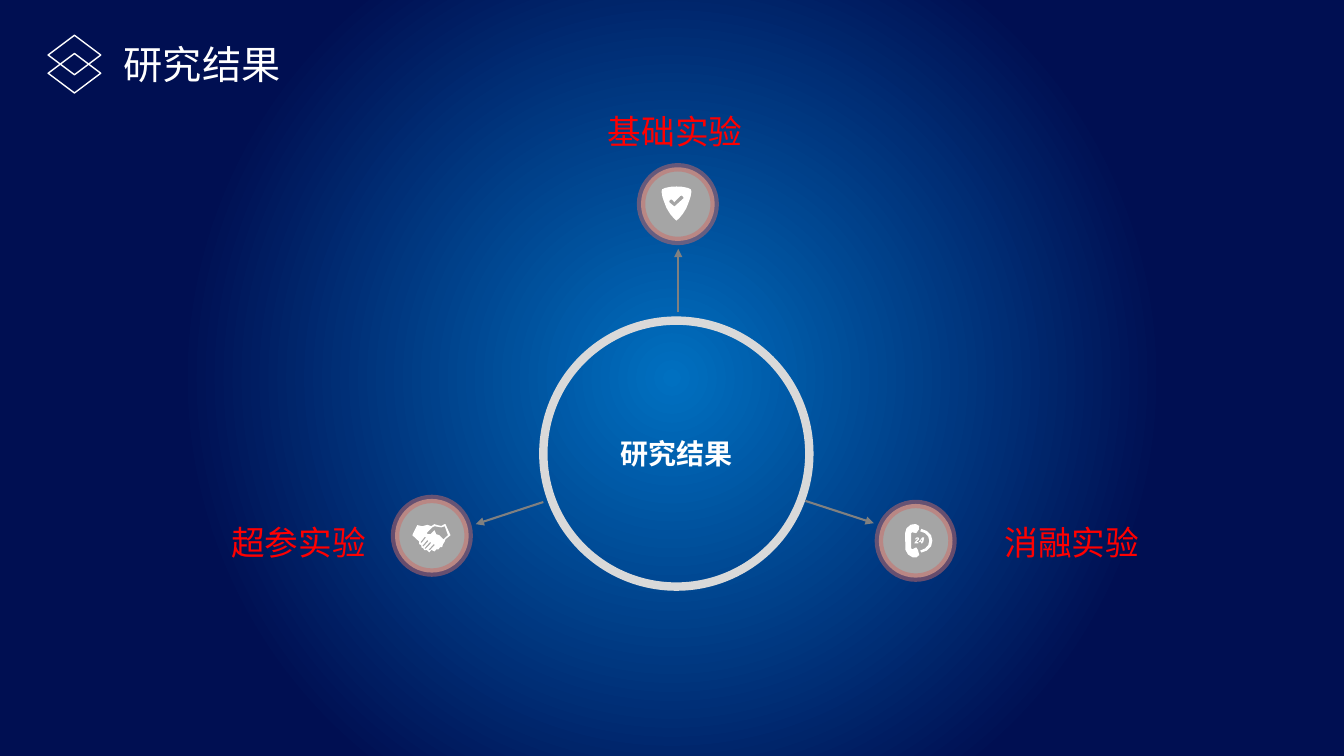
from lxml import etree
from pptx import Presentation
from pptx.dml.color import RGBColor
from pptx.enum import shapes, text
from pptx.oxml.ns import qn
from pptx.util import Pt

# Content
TITLE = "研究结果"
HUB = "研究结果"

# Icon contours, in points from the centre of the badge; inner contours are holes
SHIELD = [
    [(-11.2, -10.6), (-9, -11.6), (-5, -12.4), (-1, -12.6), (3, -12.4), (7, -11.6),
     (9.2, -10.6), (9.7, -9), (9, -5), (7.6, -1), (6, 3), (3.5, 7), (1, 10), (-1, 11.8),
     (-3, 10), (-5.5, 7), (-8, 3), (-9.6, -1), (-11, -5), (-11.7, -9)],
    [(4, -4.1), (-1.8, 1.1), (-2.5, 1.6), (-3.2, 1.1), (-6.1, -1.3), (-6.1, -2.4),
     (-5.2, -3.3), (-4.2, -3.2), (-2.5, -1.4), (1.8, -5.9), (2.8, -6.1), (4, -5)],
]
HANDSHAKE = [
    [(9.7, -8.3), (9, -8.3), (6.8, -7), (4, -7.6), (1.8, -8.3), (-0.4, -6.9), (-3.2, -7.8),
     (-6.8, -6.8), (-10.4, -7.6), (-14, -0.4), (-11.9, 1.5), (-9.2, 4), (-9, 6),
     (-7.6, 6.8), (-7.4, 8.3), (-6.1, 9), (-5.4, 10.2), (-3.5, 10.2), (-1.8, 11.9),
     (-0.4, 10), (1.8, 11.2), (3.2, 9.7), (4.7, 9.7), (5.8, 8.2), (7.4, 8), (7.9, 6.1),
     (9, 4.5), (9.7, 2.5), (13.3, -0.4)],
    [(11.5, -0.4), (9, 1.8), (8.3, 2.5), (5.4, -0.4), (3.2, -1.1), (1.8, -4), (-1.1, -1.1),
     (-3.2, -1.1), (-3.4, -2.3), (0.4, -6.1), (1.8, -6.8), (3.2, -6.6), (6.8, -6),
     (9.2, -6.8)],
    [(-8.2, 4.6), (-5, 0.7), (-4.2, 1.2), (-7.4, 5.2)],
    [(-6.8, 7.2), (-3.2, 3), (-2.5, 3.8), (-6.1, 7.8)],
    [(-5.2, 8.8), (-1.2, 4.3), (-0.5, 5.2), (-4.6, 9.4)],
    [(-2.4, 10), (1.4, 5.8), (2.1, 6.6), (-1.4, 10.3)],
]
PHONE = [
    [(-7.6, -5.4), (-6.5, -9), (-3.5, -11.5), (0, -12), (2.5, -10.6), (2.2, -8),
     (0.4, -5.4), (-2.5, -6.1), (-3.2, -5.4), (-3.2, 5.4), (-2.5, 6.1), (0.4, 4.7),
     (1.6, 6.5), (2.6, 10.2), (0.4, 11.9), (-2, 11.9), (-5.5, 9.8), (-7.3, 6.5)],
    [(4, -8.5), (8, -7), (11, -4), (11.9, 0), (11, 4), (8, 7), (4, 8.4), (3.2, 7),
     (6.8, 5.4), (9, 3), (9.7, 0), (9, -3), (6.8, -5.4), (3.2, -6.8)],
    [(-1, 1.8), (1.9, 1.8), (1.9, 1), (0.4, 1), (1.9, -0.5), (2.5, -1.2), (2.2, -2.2),
     (1, -2.5), (0, -2), (-0.4, -1), (0.4, -1), (1, -1.8), (1.6, -1.2), (0, 0.3)],
    [(5.5, 0.4), (6.1, -2.5), (4.7, -2.5), (2.5, 0.4), (2.5, 1), (4, 1), (3.9, 1.8),
     (4.8, 1.8), (5, 1), (5.6, 1)],
    [(3.3, 0.4), (4.6, -1.6), (4.3, 0.4)],
]

# label, label box, line spacing, badge centre, icon, arrow start, arrow end
EXPERIMENTS = [
    ("基础实验", (373.5, 64.8, 217.5, 39.6), 1.5, (484.2, 145.8), SHIELD,
     (484.5, 223.2), (484.5, 177.8)),
    ("消融实验", (638, 367.2, 255, 33), 1.2, (654.1, 386.3), PHONE,
     (575.3, 357.8), (624.2, 373.7)),
    ("超参实验", (104.4, 358.6, 217.5, 39.6), 1.5, (308.5, 382.7), HANDSHAKE,
     (388.1, 358.6), (339.8, 374.4)),
]

THEME = {
    "glow": "0070C0", "navy": "000F52", "white": "FFFFFF", "label": "FF0000",
    "ring": "D9D9D9", "arrow": "808080", "badge": "A5A5A5", "badge_rim": "CD6A65",
    "title_size": 28, "label_size": 24, "hub_size": 20,
    "title_font": "Noto Sans CJK SC", "label_font": "Noto Sans CJK JP", "hub_font": "Calibri",
}
RING_BOX = (388.1, 229, 190, 190)
BADGE_SIZE = 52.6
DIAMOND_LEFT, DIAMOND_TOPS, DIAMOND_SIZE = 34.4, (25.2, 38.2), (37.6, 28.2)


def color(key):
    return RGBColor.from_string(THEME[key])


def add_xml(parent, tag, **attributes):
    return etree.SubElement(parent, qn(tag), attributes)


def write(frame, words, role, ink, align=text.PP_ALIGN.LEFT, bold=False, spacing=None):
    paragraph = frame.paragraphs[0]
    paragraph.text = words
    paragraph.alignment = align
    paragraph.line_spacing = spacing
    font = paragraph.font
    font.size, font.bold = Pt(THEME[role + "_size"]), bold
    font.color.rgb = color(ink)
    font.name = THEME[role + "_font"]
    properties = paragraph._p.pPr.find(qn("a:defRPr"))
    add_xml(properties, "a:ea", typeface=THEME[role + "_font"])


def add_text(slide, box, words, role, ink, margin=None, **style):
    frame = slide.shapes.add_textbox(*map(Pt, box)).text_frame
    frame.word_wrap = True
    if margin is not None:
        frame.margin_left = frame.margin_right = Pt(margin)
        frame.margin_top = frame.margin_bottom = Pt(margin)
    write(frame, words, role, ink, **style)


def add_outline(slide, kind, box, line, width, fill=None):
    shape = slide.shapes.add_shape(kind, *map(Pt, box))
    shape.shadow.inherit = False
    if fill:
        shape.fill.solid()
        shape.fill.fore_color.rgb = color(fill)
    else:
        shape.fill.background()
    shape.line.color.rgb = color(line)
    shape.line.width = Pt(width)
    return shape


def add_badge(slide, centre, contours):
    x, y = centre
    box = (x - BADGE_SIZE / 2, y - BADGE_SIZE / 2, BADGE_SIZE, BADGE_SIZE)
    badge = add_outline(slide, shapes.MSO_SHAPE.OVAL, box, "badge_rim", 6, "badge")
    rim = badge.line._ln.find(".//" + qn("a:srgbClr"))
    add_xml(rim, "a:alpha", val="50000")

    points = [[(Pt(x + dx), Pt(y + dy)) for dx, dy in contour] for contour in contours]
    builder = slide.shapes.build_freeform(*points[0][0])
    builder.add_line_segments(points[0][1:])
    for contour in points[1:]:
        builder.move_to(*contour[0])
        builder.add_line_segments(contour[1:])
    icon = builder.convert_to_shape()
    icon.shadow.inherit = False
    icon.fill.solid()
    icon.fill.fore_color.rgb = color("white")
    icon.line.fill.background()


def add_arrow(slide, start, end):
    arrow = slide.shapes.add_connector(
        shapes.MSO_CONNECTOR.STRAIGHT, *map(Pt, start + end))
    arrow.line.color.rgb = color("arrow")
    arrow.line.width = Pt(1.5)
    add_xml(arrow.line._ln, "a:tailEnd", type="triangle")
    add_xml(arrow._element.spPr, "a:effectLst")


def paint_background(slide):
    slide.background.fill.solid()
    solid = slide._element.find(".//" + qn("p:bgPr")).find(qn("a:solidFill"))
    gradient = etree.Element(qn("a:gradFill"), rotWithShape="1")
    stops = add_xml(gradient, "a:gsLst")
    for position, key in ((0, "glow"), (64000, "navy")):
        stop = add_xml(stops, "a:gs", pos=str(position))
        add_xml(stop, "a:srgbClr", val=THEME[key])
    shade = add_xml(gradient, "a:path", path="circle")
    add_xml(shade, "a:fillToRect", l="50000", t="50000", r="50000", b="50000")
    solid.getparent().replace(solid, gradient)


def main():
    presentation = Presentation()
    presentation.slide_width, presentation.slide_height = Pt(960), Pt(540)
    slide = presentation.slides.add_slide(presentation.slide_layouts[6])
    paint_background(slide)

    # Heading
    add_text(slide, (81.4, 25.2, 285.8, 41), TITLE, "title", "white")
    for top in DIAMOND_TOPS:
        add_outline(slide, shapes.MSO_SHAPE.DIAMOND,
                    (DIAMOND_LEFT, top, *DIAMOND_SIZE), "white", 1)

    # Hub
    ring = add_outline(slide, shapes.MSO_SHAPE.OVAL, RING_BOX, "ring", 6)
    ring.text_frame.vertical_anchor = text.MSO_ANCHOR.MIDDLE
    write(ring.text_frame, HUB, "hub", "white", text.PP_ALIGN.CENTER, bold=True)

    # Experiments around the hub
    for label, box, spacing, centre, icon, start, end in EXPERIMENTS:
        add_arrow(slide, start, end)
        add_badge(slide, centre, icon)
        add_text(slide, box, label, "label", "label", margin=0,
                 align=text.PP_ALIGN.CENTER, spacing=spacing)

    presentation.save("out.pptx")


if __name__ == "__main__":
    main()
